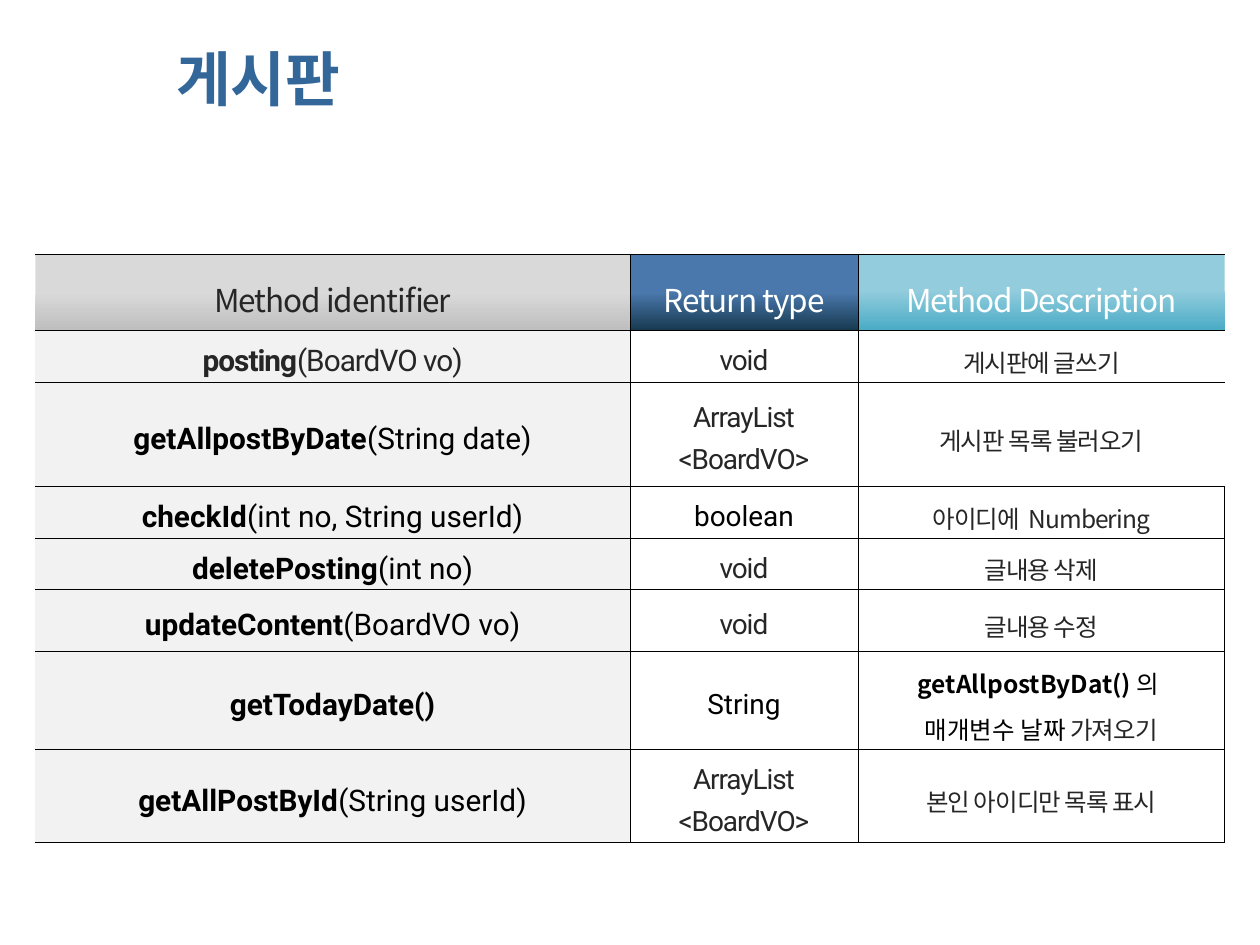
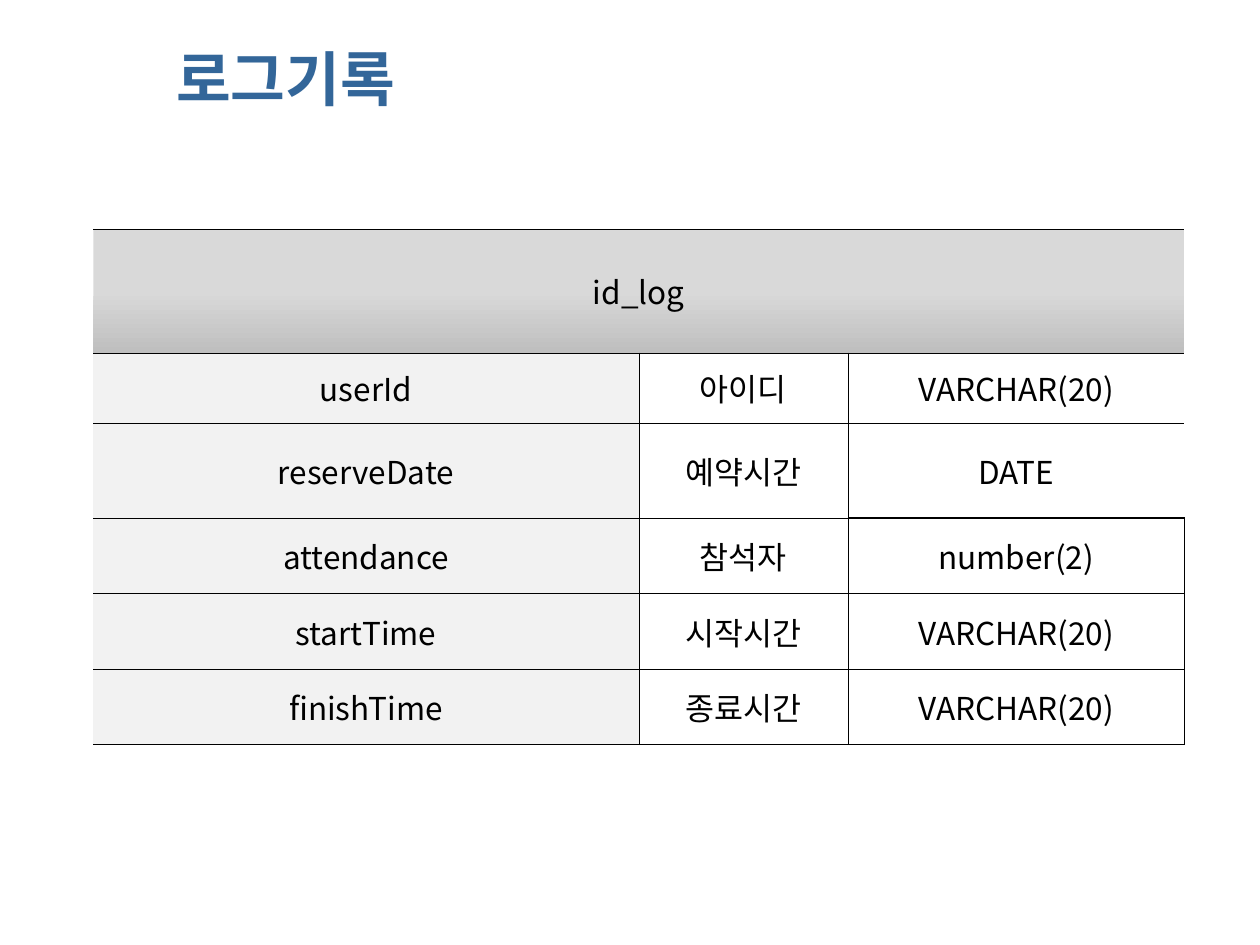
from copy import deepcopy
from dataclasses import dataclass, replace

from lxml.etree import SubElement
from pptx import Presentation
from pptx.dml.color import RGBColor
from pptx.enum.text import MSO_ANCHOR as Anchor, PP_ALIGN as Align
from pptx.oxml import parse_xml
from pptx.oxml.ns import nsdecls, qn
from pptx.util import Inches, Pt

WIDTH, HEIGHT = Inches(10), Inches(7.5)
COL, ROW = WIDTH // 1000, HEIGHT // 750

BLACK = RGBColor(0x00, 0x00, 0x00)
INK = RGBColor(0x26, 0x26, 0x26)
WHITE = RGBColor(0xFF, 0xFF, 0xFF)
TITLE_BLUE = RGBColor(0x33, 0x66, 0x99)
PALE = RGBColor(0xF2, 0xF2, 0xF2)
GREY = RGBColor(0xD9, 0xD9, 0xD9)
DARK_GREY = RGBColor(0xBF, 0xBF, 0xBF)
BLUE = RGBColor(0x4A, 0x78, 0xAC)
NAVY = RGBColor(0x17, 0x3A, 0x51)
AQUA = RGBColor(0x93, 0xCD, 0xDD)
TEAL = RGBColor(0x4B, 0xAC, 0xC6)

NOTO, ROBOTO, ARIAL = "Noto Sans CJK KR", "Roboto", "Arial"
THIN, THICK = 0.28, 1
OPEN_ROWS = 3


@dataclass(frozen=True)
class Style:
    size: float
    font: str
    color: RGBColor = BLACK
    spacing: int = 0
    bold: bool = False


@dataclass(frozen=True)
class Gradient:
    start: RGBColor
    end: RGBColor
    start_at: float = 0.5
    end_at: float = 0.99


Run = tuple[str, Style]
Cell = list[Run]


@dataclass(frozen=True)
class Grid:
    left: int
    top: int
    cols: list[int]
    rows: list[int]
    header_fills: list[Gradient]
    cells: list[list[Cell]]
    line_spacing: float
    inset: tuple[int, int]


HEADER_INSET = (7, 2)
GREY_FADE = Gradient(GREY, DARK_GREY)
BLUE_FADE = Gradient(BLUE, NAVY, end_at=1)
AQUA_FADE = Gradient(AQUA, TEAL, start_at=0.47)

TITLE = Style(34, ARIAL, TITLE_BLUE, bold=True)
FIELD = Style(18, NOTO)
HEAD = Style(18, NOTO, INK, -60)
HEAD_WHITE = replace(HEAD, color=WHITE)
ARGS = Style(17, ROBOTO)
NAME = replace(ARGS, bold=True)
TYPE = Style(16, ROBOTO)
TYPE_TIGHT = replace(TYPE, color=INK, spacing=-60)
NOTE = Style(14, NOTO)
NOTE_TIGHT = replace(NOTE, color=INK, spacing=-60)
NOTE_BOLD = replace(NOTE, bold=True)


def method(name: str, args: str, returns: Run, note: str) -> list[Cell]:
    return [[(name, NAME), (args, ARGS)], [returns], [(note, NOTE_TIGHT)]]


VOID = ("void", TYPE_TIGHT)
POSTS = ("ArrayList\n<BoardVO>", TYPE_TIGHT)

BOARD = Grid(
    28, 202, [472, 181, 291], [60, 41, 83, 41, 41, 49, 78, 70],
    [GREY_FADE, BLUE_FADE, AQUA_FADE],
    [
        [[("Method identifier", HEAD)], [("Return type", HEAD_WHITE)],
         [("Method Description", HEAD_WHITE)]],
        [[("posting", replace(NAME, color=INK, spacing=-60)),
          ("(BoardVO vo)", replace(ARGS, color=INK, spacing=-60))],
         [VOID], [("게시판에 글쓰기", NOTE_TIGHT)]],
        method("getAllpostByDate", "(String date)", POSTS, "게시판 목록 불러오기"),
        method("checkId", "(int no, String userId)", ("boolean", TYPE),
               "아이디에  Numbering"),
        method("deletePosting", "(int no)", VOID, "글내용 삭제"),
        method("updateContent", "(BoardVO vo)", VOID, "글내용 수정"),
        [[("getTodayDate()", NAME)], [("String", TYPE)],
         [("getAllpostByDat() ", NOTE_BOLD), ("의 \n매개변수 날짜", NOTE),
          (" 가져오기", NOTE_TIGHT)]],
        method("getAllPostById", "(String userId)", POSTS, "본인 아이디만 목록 표시"),
    ],
    1.3, HEADER_INSET,
)

LOG_FIELDS = [
    ("id_log",),
    ("userId", "아이디", "VARCHAR(20)"),
    ("reserveDate", "예약시간", "DATE"),
    ("attendance", "참석자", "number(2)"),
    ("startTime", "시작시간", "VARCHAR(20)"),
    ("finishTime", "종료시간", "VARCHAR(20)"),
]
LOG = Grid(
    74, 182, [433, 166, 267], [98, 56, 75, 60, 60, 60], [GREY_FADE],
    [[[(text, FIELD)] for text in fields] for fields in LOG_FIELDS],
    1, (0, 0),
)


def add_run(p, text: str, style: Style) -> None:
    for i, line in enumerate(text.split("\n")):
        if i:
            p.add_line_break()
            p._p[-1].append(deepcopy(p.runs[-1]._r.rPr))
        r = p.add_run()
        r.text = line
        formats = {"size": Pt(style.size), "name": style.font, "bold": style.bold}
        for key, value in formats.items():
            setattr(r.font, key, value)
        r.font.color.rgb = style.color
        rPr = r._r.get_or_add_rPr()
        rPr.set("spc", str(style.spacing))
        SubElement(rPr, qn("a:ea")).set("typeface", NOTO)


def add_title(s, text: str) -> None:
    tf = s.shapes.add_textbox(130 * COL, 11 * ROW, 686 * COL, 101 * ROW).text_frame
    tf.word_wrap = True
    tf.vertical_anchor = Anchor.MIDDLE
    add_run(tf.paragraphs[0], text, TITLE)


def fill_cell(cell, fill: RGBColor | Gradient) -> None:
    if isinstance(fill, RGBColor):
        cell.fill.solid()
        cell.fill.fore_color.rgb = fill
        return
    cell.fill.gradient()
    cell.fill.gradient_angle = 270
    ends = [(fill.start, fill.start_at), (fill.end, fill.end_at)]
    for stop, (color, position) in zip(cell.fill.gradient_stops, ends):
        stop.color.rgb = color
        stop.position = position


def set_borders(cell, widths: dict[str, float]) -> None:
    tcPr = cell._tc.get_or_add_tcPr()
    for i, (side, width) in enumerate(widths.items()):
        paint = (f'<a:solidFill><a:srgbClr val="{BLACK}"/></a:solidFill>'
                 if width else "<a:noFill/>")
        tcPr.insert(i, parse_xml(
            f'<a:ln{side} {nsdecls("a")} w="{Pt(width)}">{paint}</a:ln{side}>'))


def border_widths(row: int, col: int, last: int, merged: bool) -> dict[str, float]:
    inner = 0 if merged else THIN
    heavy = col == last
    return {
        "L": inner if col else 0,
        "R": inner if col < last else (THIN if row >= OPEN_ROWS else 0),
        "T": THICK if row == 0 or (heavy and row == OPEN_ROWS) else THIN,
        "B": THICK if heavy and row == OPEN_ROWS - 1 else THIN,
    }


def write_cell(cell, runs: Cell, spacing: float, inset: tuple[int, int]) -> None:
    x, y = inset[0] * COL, inset[1] * ROW
    formats = {"margin_left": x, "margin_right": x, "margin_top": y,
               "margin_bottom": y, "vertical_anchor": Anchor.MIDDLE}
    for key, value in formats.items():
        setattr(cell, key, value)
    p = cell.text_frame.paragraphs[0]
    p.alignment = Align.CENTER
    p.line_spacing = float(spacing)
    for text, style in runs:
        add_run(p, text, style)


def add_grid(s, grid: Grid) -> None:
    last = len(grid.cols) - 1
    table = s.shapes.add_table(
        len(grid.rows), len(grid.cols), grid.left * COL, grid.top * ROW,
        sum(grid.cols) * COL, sum(grid.rows) * ROW).table
    table.first_row = table.horz_banding = False
    for column, width in zip(table.columns, grid.cols):
        column.width = width * COL
    for row, height in zip(table.rows, grid.rows):
        row.height = height * ROW
    for r, cells in enumerate(grid.cells):
        merged = len(cells) == 1
        if merged:
            table.cell(r, 0).merge(table.cell(r, last))
        for c in range(last + 1):
            cell = table.cell(r, c)
            if r == 0:
                fill = grid.header_fills[min(c, len(grid.header_fills) - 1)]
            else:
                fill = WHITE if c else PALE
            fill_cell(cell, fill)
            set_borders(cell, border_widths(r, c, last, merged))
            if c < len(cells):
                write_cell(cell, cells[c], grid.line_spacing,
                           grid.inset if r else HEADER_INSET)


def main() -> None:
    prs = Presentation()
    prs.slide_width, prs.slide_height = WIDTH, HEIGHT
    for title, grid in (("게시판", BOARD), ("로그기록", LOG)):
        s = prs.slides.add_slide(prs.slide_layouts[6])
        add_title(s, title)
        add_grid(s, grid)
    prs.save("out.pptx")


if __name__ == "__main__":
    main()
